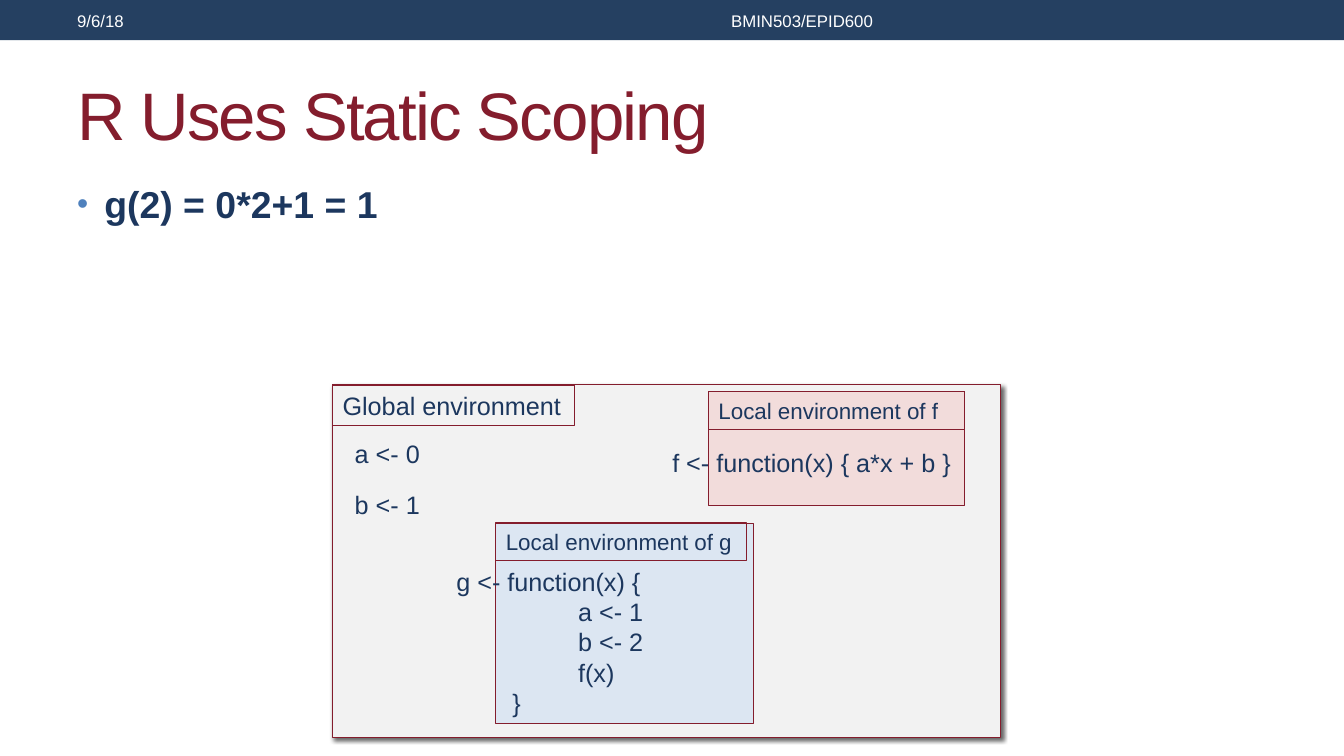
from lxml.etree import SubElement
from pptx import Presentation
from pptx.dml.color import RGBColor
from pptx.enum.shapes import MSO_SHAPE
from pptx.enum.text import MSO_ANCHOR as Anchor, PP_ALIGN as Align
from pptx.oxml.ns import qn
from pptx.util import Pt

COLORS = {
    "band": "254061", "title": "841D2D", "ink": "1C375E", "bullet": "4F81BD",
    "white": "FFFFFF", "global": "F2F2F2", "f": "F2DCDB", "g": "DCE6F2",
    "shadow": "000000",
}


def color(name):
    return RGBColor.from_string(COLORS[name])


def add_panel(slide, box, fill=None, outlined=True):
    panel = slide.shapes.add_shape(MSO_SHAPE.RECTANGLE, *map(Pt, box))
    panel.shadow.inherit = False
    if fill:
        panel.fill.solid()
        panel.fill.fore_color.rgb = color(fill)
    else:
        panel.fill.background()
    if outlined:
        panel.line.color.rgb = color("title")
        panel.line.width = Pt(0.75)
    else:
        panel.line.fill.background()
    return panel


def write(holder, lines, size, ink="ink", bold=False, wrap=False,
          anchor=Anchor.TOP, align=Align.LEFT):
    """Fill a shape with (text, left indent) lines."""
    frame = holder.text_frame
    for key, value in {"word_wrap": wrap, "vertical_anchor": anchor}.items():
        setattr(frame, key, value)
    font_format = {"name": "Arial", "size": Pt(size), "bold": bold}
    for number, (text, indent) in enumerate(lines):
        line = frame.add_paragraph() if number else frame.paragraphs[0]
        line.alignment = align
        if indent:
            line._p.get_or_add_pPr().set("marL", str(Pt(indent)))
        run = line.add_run()
        run.text = text
        for key, value in font_format.items():
            setattr(run.font, key, value)
        run.font.color.rgb = color(ink)
    return frame.paragraphs[0]


def add_text(slide, box, lines, size, **style):
    return write(slide.shapes.add_textbox(*map(Pt, box)), lines, size, **style)


def add_header(slide, box):
    left, top, width, height = box
    add_panel(slide, box, "band", outlined=False)
    style = {"ink": "white", "wrap": True, "anchor": Anchor.MIDDLE}
    add_text(slide, (left + 48, top + 1.5, 304, 26), [("9/6/18", 0)], 12, **style)
    add_text(slide, (left + 357, top + 1.5, 432, 26), [("BMIN503/EPID600", 0)], 12,
             align=Align.CENTER, **style)


def add_heading(slide, box):
    left, top, width, height = box
    # Title
    title = add_text(slide, (left, top, width, 78), [("R Uses Static Scoping", 0)], 48,
                     ink="title", wrap=True, anchor=Anchor.MIDDLE)
    title.runs[0]._r.get_or_add_rPr().set("spc", "-130")
    # Bulleted result
    result = add_text(slide, (left, top + 84, width, height - 84),
                      [("g(2) = 0*2+1 = 1", 19.5)], 26.7, bold=True, wrap=True)
    result.space_before = Pt(3)
    properties = result._p.get_or_add_pPr()
    properties.set("indent", str(-Pt(19.5)))
    bullet_color = SubElement(properties, qn("a:buClr"))
    SubElement(bullet_color, qn("a:srgbClr"), val=COLORS["bullet"])
    SubElement(properties, qn("a:buSzPct"), val="85000")
    SubElement(properties, qn("a:buFont"), typeface="Arial")
    SubElement(properties, qn("a:buChar"), char="•")


def add_local_environment(slide, box, name, label_width, code, code_box):
    left, top, width, height = box
    add_panel(slide, box, name)
    label = add_panel(slide, (left, top, label_width, 26.6))
    write(label, [(f"Local environment of {name}", 0)], 16)
    across, down, code_width, code_height = code_box
    add_text(slide, (left + across, top + down, code_width, code_height), code, 18,
             wrap=len(code) > 1)


def add_global_environment(slide, box):
    left, top, width, height = box
    # Outer panel with its shadow
    panel = add_panel(slide, box, "global")
    effects = panel._element.spPr.find(qn("a:effectLst"))
    shadow = SubElement(effects, qn("a:outerShdw"), blurRad=str(Pt(3)),
                        dist=str(Pt(2)), dir="2700000", algn="tl", rotWithShape="0")
    shade = SubElement(shadow, qn("a:srgbClr"), val=COLORS["shadow"])
    SubElement(shade, qn("a:alpha"), val="60000")
    write(add_panel(slide, (left, top, 173, 29)), [("Global environment", 0)], 18)

    # Global variables
    for row, assignment in enumerate(("a <- 0", "b <- 1")):
        add_text(slide, (left + 8.7, top + 34.6 + 36 * row, 63, 29),
                 [(assignment, 0)], 18)

    # Functions with their own environments
    add_local_environment(slide, (left + 268.5, top + 5, 183, 81.4), "f", 183,
                          [("f <- function(x) { a*x + b }", 0)],
                          (-33, 36, 217, 29))
    g_code = [("g <- function(x) {", 0), ("a <- 1", 87), ("b <- 2", 87),
              ("f(x)", 87), ("}", 40)]
    add_local_environment(slide, (left + 116.6, top + 98.6, 184, 143.3), "g", 179,
                          g_code, (-35.3, 27.4, 153, 117))


def main():
    deck = Presentation()
    deck.slide_width, deck.slide_height = Pt(960), Pt(540)
    slide = deck.slides.add_slide(deck.slide_layouts[6])
    add_header(slide, (0, 0, 960, 28.8))
    add_heading(slide, (48, 42, 864, 468))
    add_global_environment(slide, (237.6, 275, 477.4, 252))
    deck.save("out.pptx")


if __name__ == "__main__":
    main()
